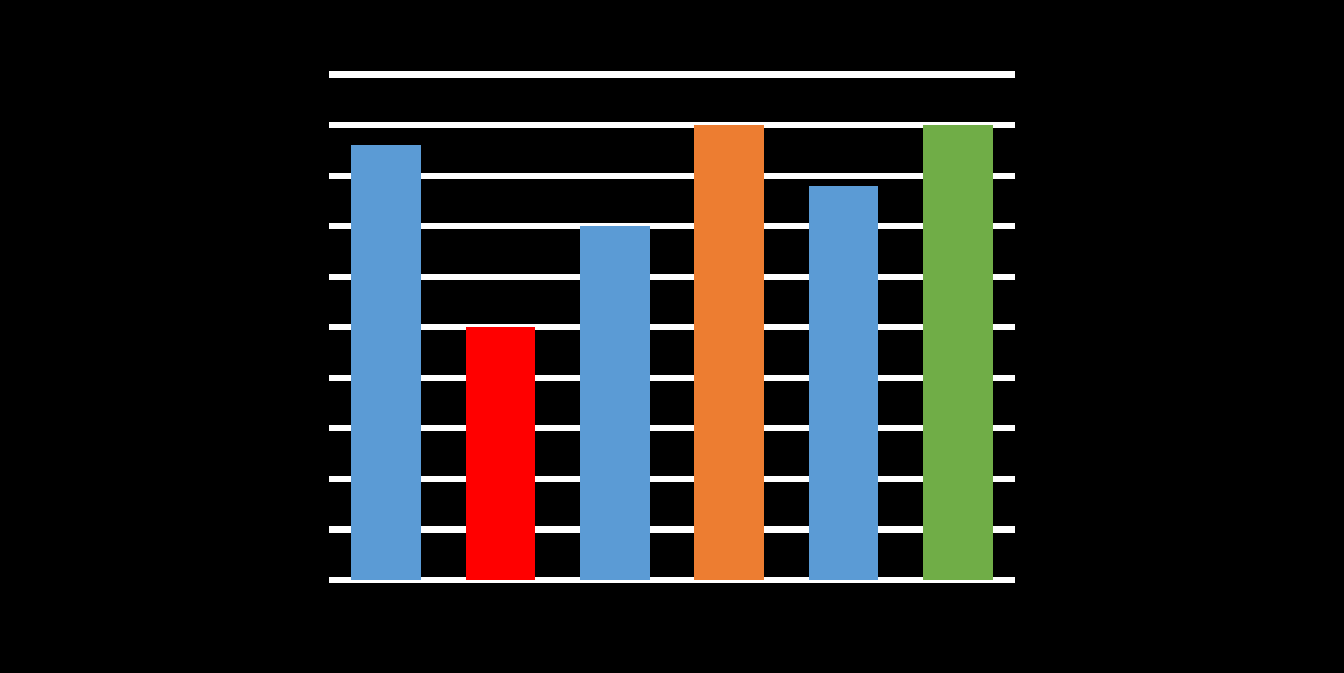
"""Build a black slide with one column chart of six bars on white gridlines."""
from lxml.etree import SubElement
from pptx import Presentation
from pptx.chart.data import CategoryChartData
from pptx.dml.color import RGBColor
from pptx.enum.chart import XL_CHART_TYPE
from pptx.oxml.ns import qn
from pptx.util import Pt

COLORS = {
    "background": "000000",
    "white": "FFFFFF",
    "blue": "5B9BD5",
    "red": "FF0000",
    "orange": "ED7D31",
    "green": "70AD47",
    "gray": "A5A5A5",
}
BARS = [(86, "blue"), (50, "red"), (70, "blue"), (90, "orange"), (78, "blue"), (90, "green")]
SERIES = {
    "Series 1": ([value for value, name in BARS], "blue"),
    "Series 2": ([None] * len(BARS), "orange"),
    "Series 3": ([None] * len(BARS), "gray"),
}
PLOT_LAYOUT = {
    "layoutTarget": "inner", "xMode": "edge", "yMode": "edge",
    "x": 0.02, "y": 0.02, "w": 0.96, "h": 0.96,
}


def paint(fill, name):
    fill.solid()
    fill.fore_color.rgb = RGBColor.from_string(COLORS[name])


deck = Presentation()
deck.slide_width, deck.slide_height = Pt(1078.56), Pt(540)
page = deck.slides.add_slide(deck.slide_layouts[6])
paint(page.background.fill, "background")

chart_data = CategoryChartData()
chart_data.categories = [str(number) for number in range(1, len(BARS) + 1)]
for title, (values, name) in SERIES.items():
    chart_data.add_series(title, values)
frame = page.shapes.add_chart(
    XL_CHART_TYPE.COLUMN_CLUSTERED, Pt(252.4), Pt(51.4), Pt(573.8), Pt(422.6), chart_data
)
chart = frame.chart
chart.has_title = False
chart.has_legend = False
chart.font.name = "Calibri"
chart.font.size = Pt(10)
chart.font.color.rgb = RGBColor.from_string(COLORS["white"])

chart.category_axis.visible = False
value_axis = chart.value_axis
value_axis.visible = False
value_axis.minimum_scale = 0
value_axis.maximum_scale = 100
value_axis.major_unit = 10
value_axis.has_major_gridlines = True
gridline = value_axis.major_gridlines.format.line
gridline.width = Pt(5)
paint(gridline.fill, "white")

plot = chart.plots[0]
plot.gap_width = 64
plot.overlap = 100
plot.vary_by_categories = False
for series in plot.series:
    paint(series.format.fill, SERIES[series.name][1])
for index, (value, name) in enumerate(BARS):
    if name != "blue":
        paint(plot.series[0].points[index].format.fill, name)

plot_area = chart.element.find(".//" + qn("c:plotArea"))
layout = plot_area.find(qn("c:layout"))
if layout is None:
    layout = SubElement(plot_area, qn("c:layout"))
    plot_area.insert(0, layout)
manual_layout = SubElement(layout, qn("c:manualLayout"))
for tag, setting in PLOT_LAYOUT.items():
    SubElement(manual_layout, qn("c:" + tag)).set("val", str(setting))

deck.save("out.pptx")
